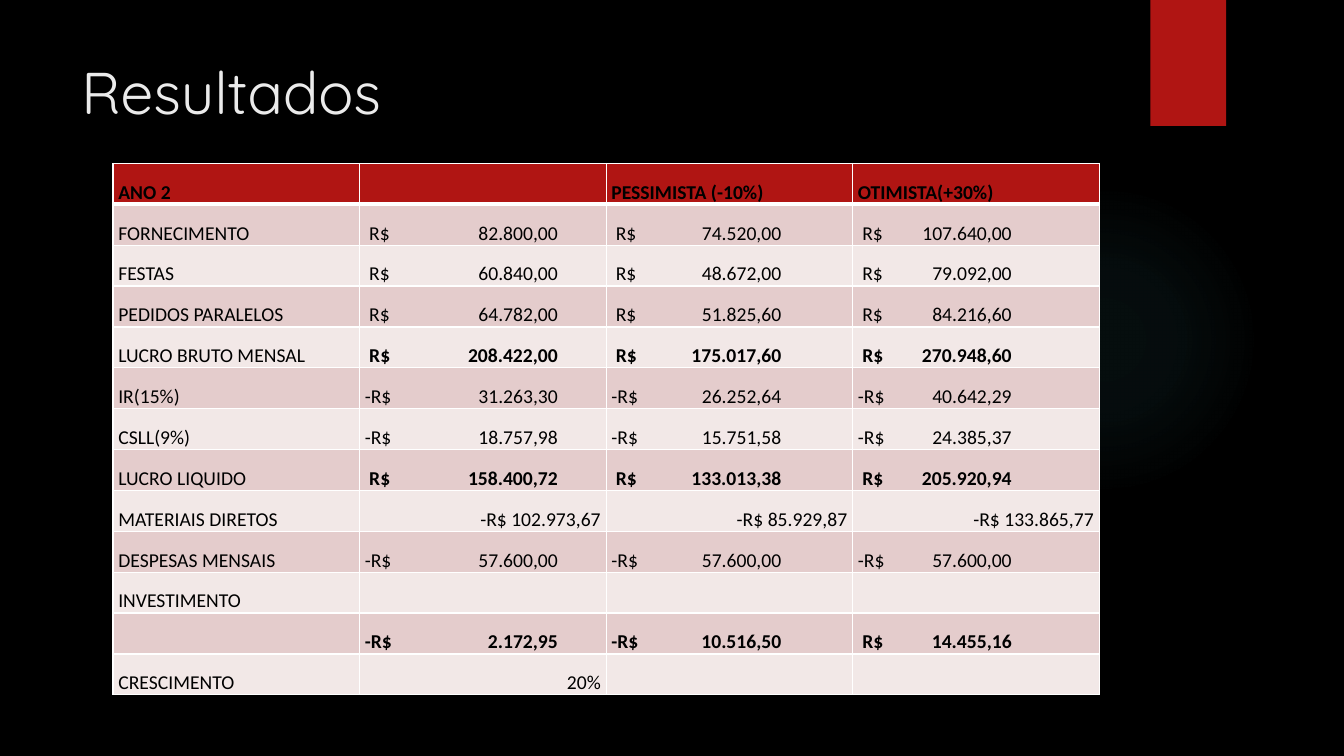
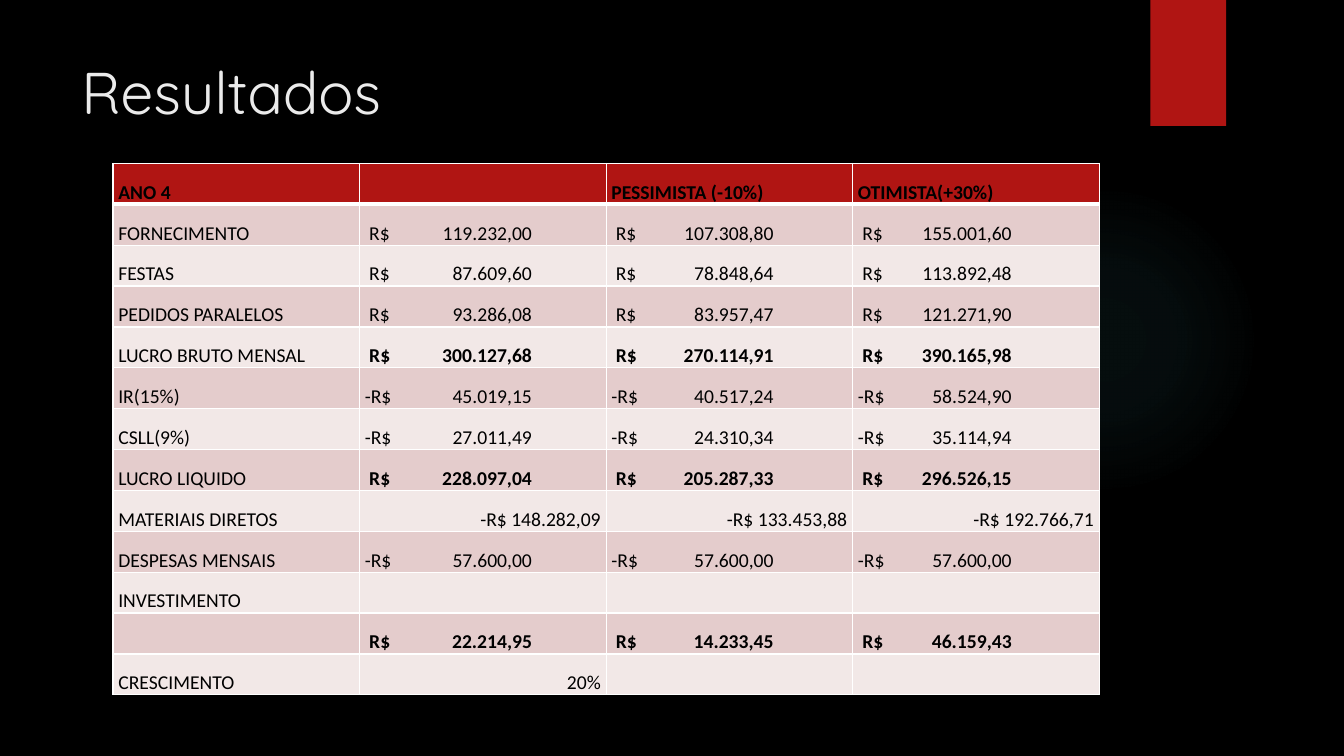
from pptx import Presentation
from pptx.dml.color import RGBColor
from pptx.enum import shapes, text
from pptx.oxml import parse_xml
from pptx.oxml.ns import nsdecls
from pptx.util import Pt

BLACK = RGBColor(0x00, 0x00, 0x00)
WHITE = RGBColor(0xFF, 0xFF, 0xFF)
PALE = RGBColor(0xEB, 0xEB, 0xEB)
RED = RGBColor(0xB0, 0x15, 0x13)
ROSE = RGBColor(0xE4, 0xCC, 0xCC)
BLUSH = RGBColor(0xF2, 0xE8, 0xE7)
TEAL = RGBColor(0x50, 0xB9, 0xC1)

HEADS = ["", "PESSIMISTA (-10%)", "OTIMISTA(+30%)"]
LABELS = ["FORNECIMENTO", "FESTAS", "PEDIDOS PARALELOS", "LUCRO BRUTO MENSAL",
          "IR(15%)", "CSLL(9%)", "LUCRO LIQUIDO", "MATERIAIS DIRETOS",
          "DESPESAS MENSAIS", "INVESTIMENTO", "", "CRESCIMENTO"]
TOTALS = {"LUCRO BRUTO MENSAL", "LUCRO LIQUIDO", ""}
FLUSH = {"MATERIAIS DIRETOS", "CRESCIMENTO"}
BLANK = ["", "", ""]
GROWTH = ["20%", "", ""]

YEARS = [
    ("ANO 2", [138, 121.5, 110], [
        ["82.800,00", "74.520,00", "107.640,00"],
        ["60.840,00", "48.672,00", "79.092,00"],
        ["64.782,00", "51.825,60", "84.216,60"],
        ["208.422,00", "175.017,60", "270.948,60"],
        ["-31.263,30", "-26.252,64", "-40.642,29"],
        ["-18.757,98", "-15.751,58", "-24.385,37"],
        ["158.400,72", "133.013,38", "205.920,94"],
        ["-R$ 102.973,67", "-R$ 85.929,87", "-R$ 133.865,77"],
        ["-57.600,00", "-57.600,00", "-57.600,00"],
        BLANK,
        ["-2.172,95", "-10.516,50", "14.455,16"],
        GROWTH]),
    ("ANO 4", [119.5, 116, 110], [
        ["119.232,00", "107.308,80", "155.001,60"],
        ["87.609,60", "78.848,64", "113.892,48"],
        ["93.286,08", "83.957,47", "121.271,90"],
        ["300.127,68", "270.114,91", "390.165,98"],
        ["-45.019,15", "-40.517,24", "-58.524,90"],
        ["-27.011,49", "-24.310,34", "-35.114,94"],
        ["228.097,04", "205.287,33", "296.526,15"],
        ["-R$ 148.282,09", "-R$ 133.453,88", "-R$ 192.766,71"],
        ["-57.600,00", "-57.600,00", "-57.600,00"],
        BLANK,
        ["22.214,95", "14.233,45", "46.159,43"],
        GROWTH]),
]


class Deck:
    """Holds the shared style and the slide being built."""

    def __init__(self):
        self.prs = Presentation()
        self.prs.slide_width, self.prs.slide_height = Pt(960), Pt(540)
        back = self.prs.slide_master.background.fill
        back.solid()
        back.fore_color.rgb = BLACK

    def start(self, title):
        self.slide = self.prs.slides.add_slide(self.prs.slide_layouts[5])
        self.title(title)
        self.glow()
        band = self.shape(shapes.MSO_SHAPE.RECTANGLE, 821.75, 0, 54, 90)
        band.fill.solid()
        band.fill.fore_color.rgb = RED

    def title(self, words):
        box = self.slide.shapes.title
        box.left, box.top, box.width, box.height = Pt(51), Pt(36), Pt(741), Pt(110)
        frame = box.text_frame
        frame.text = words
        frame.auto_size = text.MSO_AUTO_SIZE.NONE
        frame.vertical_anchor = text.MSO_ANCHOR.TOP
        para = frame.paragraphs[0]
        para.alignment = text.PP_ALIGN.LEFT
        self.font(para, "Quicksand", 42, PALE)

    def font(self, para, name, size, color, bold=False):
        font = para.font
        font.name, font.size, font.bold = name, Pt(size), bold
        font.color.rgb = color

    def shape(self, kind, left, top, width, height):
        item = self.slide.shapes.add_shape(kind, Pt(left), Pt(top), Pt(width), Pt(height))
        item.shadow.inherit = False
        item.line.fill.background()
        return item

    def glow(self):
        disc = self.shape(shapes.MSO_SHAPE.OVAL, 677.5, 131.75, 221.75, 221.75)
        stops = "".join(
            f'<a:gs pos="{pos * 1000}"><a:srgbClr val="{TEAL}">'
            f'<a:alpha val="{alpha * 1000}"/></a:srgbClr></a:gs>'
            for pos, alpha in [(0, 7), (36, 6), (69, 0), (100, 0)])
        grad = parse_xml(
            f'<a:gradFill {nsdecls("a")} rotWithShape="1"><a:gsLst>{stops}</a:gsLst>'
            '<a:path path="circle"><a:fillToRect l="50000" t="50000" r="50000" b="50000"/>'
            '</a:path></a:gradFill>')
        disc.element.spPr.find("{*}prstGeom").addnext(grad)

    def edges(self, cell, top, base):
        props = cell._tc.get_or_add_tcPr()
        for side, width in zip("LRTB", (1, 1, top, base)):
            props.append(parse_xml(
                f'<a:ln{side} {nsdecls("a")} w="{Pt(width)}"><a:solidFill>'
                f'<a:srgbClr val="{WHITE}"/></a:solidFill></a:ln{side}>'))

    def cell(self, cell, words, fill, bold=False, flush=False, stop=None):
        cell.fill.solid()
        cell.fill.fore_color.rgb = fill
        cell.margin_left = cell.margin_right = Pt(3.75)
        cell.margin_top = cell.margin_bottom = 0
        cell.vertical_anchor = text.MSO_ANCHOR.BOTTOM
        para = cell.text_frame.paragraphs[0]
        para.alignment = text.PP_ALIGN.RIGHT if flush else text.PP_ALIGN.LEFT
        para.line_spacing = 1.2
        if words and stop:
            sign = "-" if words.startswith("-") else " "
            words = f"{sign}R$\t{words.lstrip('-')}"
            para._p.get_or_add_pPr().append(parse_xml(
                f'<a:tabLst {nsdecls("a")}><a:tab pos="{Pt(stop)}" algn="r"/></a:tabLst>'))
        if words:
            para.add_run().text = words
        self.font(para, "Calibri", 14, BLACK, bold)

    def table(self, year, stops, rows):
        count = len(rows) + 1
        grid = self.slide.shapes.add_table(
            count, 4, Pt(80.75), Pt(116.75), Pt(704.4), Pt(29.2 * count)).table
        grid.first_row = grid.horz_banding = False
        for col in grid.columns:
            col.width = Pt(176.1)
        for row in grid.rows:
            row.height = Pt(29.2)
        for r in range(count):
            for c in range(4):
                self.edges(grid.cell(r, c), 3 if r == 1 else 1, 3 if r == 0 else 1)
        for c, head in enumerate([year] + HEADS):
            self.cell(grid.cell(0, c), head, RED, bold=True)
        for r, (label, row) in enumerate(zip(LABELS, rows), 1):
            fill = ROSE if r % 2 else BLUSH
            flush = label in FLUSH
            self.cell(grid.cell(r, 0), label, fill)
            for c, (value, stop) in enumerate(zip(row, stops), 1):
                self.cell(grid.cell(r, c), value, fill, label in TOTALS,
                          flush, None if flush else stop)


def main():
    deck = Deck()
    for year, stops, rows in YEARS:
        deck.start("Resultados")
        deck.table(year, stops, rows)
    deck.prs.save("out.pptx")


if __name__ == "__main__":
    main()
